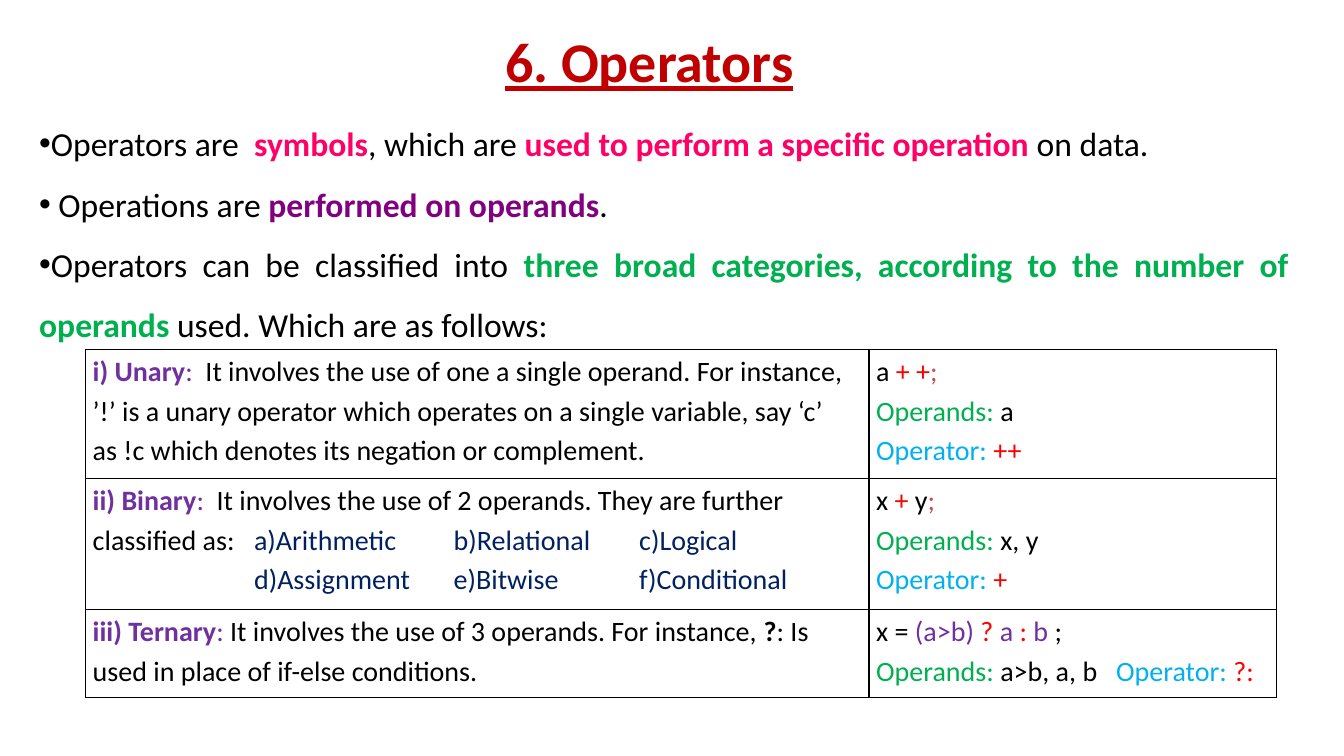
import pptx
import pptx.dml.color
import pptx.enum.text
import pptx.oxml
import pptx.oxml.ns
import pptx.util
from lxml import etree
from pptx.util import Inches

FONT = "Calibri"
BLACK, RED, CRIMSON, PINK = "000000", "FF0000", "C00000", "FF0066"
PURPLE, VIOLET, GREEN = "800080", "7030A0", "00B050"
SKY, NAVY, BRICK = "00B0F0", "002060", "C0504D"
ALIGN = pptx.enum.text.PP_ALIGN
ANCHOR = pptx.enum.text.MSO_ANCHOR

DEFINITIONS = [
    [("Operators are  ", BLACK), ("symbols", PINK, True), (", which are ", BLACK),
     ("used to perform a specific operation ", PINK, True), ("on data.", BLACK)],
    [(" Operations are ", BLACK), ("performed on operands", PURPLE, True), (".", BLACK)],
    [("Operators can be classified into ", BLACK),
     ("three broad categories, according to the number of operands ", GREEN, True),
     ("used. Which are as follows:", BLACK)],
]

UNARY = [[("i) Unary", VIOLET, True), (":", VIOLET),
          ("  It involves the use of one a single operand. For instance, ’!’ is a unary "
           "operator which operates on a single variable, say ‘c’ as !c which denotes its "
           "negation or complement.", BLACK)]]
BINARY = [
    [("ii) Binary", VIOLET, True), (":", VIOLET),
     ("  It involves the use of 2 operands. They are further classified as:", BLACK),
     ("\ta)Arithmetic\tb)Relational\tc)Logical", NAVY)],
    [("\td)Assignment\te)Bitwise\tf)Conditional", NAVY)],
]
TERNARY = [[("iii) Ternary", VIOLET, True), (":", VIOLET),
            (" It involves the use of 3 operands. For instance, ", BLACK),
            ("?", BLACK, True), (": Is used in place of if-else conditions.", BLACK)]]


def operands(names):
    """Return the runs that list the operands."""
    return [("Operands:", GREEN), (f" {names}", BLACK)]


def operator(symbol):
    """Return the runs that show the operator."""
    return [("Operator: ", SKY), (symbol, RED)]


CATEGORIES = [
    (UNARY, [[("a ", BLACK), ("+ +", RED), (";", BRICK)], operands("a"), operator("++")]),
    (BINARY, [[("x ", BLACK), ("+ ", RED), ("y", BLACK), (";", BRICK)],
              operands("x, y"), operator("+")]),
    (TERNARY, [[("x = ", BLACK), ("(a>b) ", VIOLET), ("? ", RED), ("a ", VIOLET),
                (": ", RED), ("b ", VIOLET), (";", BLACK)],
               operands("a>b, a, b") + [("\t", BLACK)] + operator("?:")]),
]
COLUMN_WIDTHS = [7.77, 4.04]
ROW_HEIGHTS = [1.28, 1.3, 0.87]
COLUMN_TABS = [(1.6, 3.58, 5.42), (2.38,)]


def color(value):
    """Turn a hex string into a colour."""
    return pptx.dml.color.RGBColor.from_string(value)


def add_child(parent, tag, **attributes):
    """Append a DrawingML element with attributes."""
    child = etree.SubElement(parent, pptx.oxml.ns.qn(tag))
    for key, value in attributes.items():
        child.set(key, str(value))
    return child


def write_paragraphs(frame, paragraphs, size, spacing=1.0, align=ALIGN.LEFT):
    """Fill a text frame with paragraphs of coloured runs."""
    frame.word_wrap = True
    for index, pieces in enumerate(paragraphs):
        paragraph = frame.add_paragraph() if index else frame.paragraphs[0]
        paragraph.alignment = align
        paragraph.line_spacing = spacing
        for text, hue, *bold in pieces:
            run = paragraph.add_run()
            run.text = text
            run.font.name = FONT
            run.font.size = pptx.util.Pt(size)
            run.font.bold = bool(bold)
            run.font.color.rgb = color(hue)


def add_title(slide):
    """Add the underlined heading."""
    frame = slide.shapes.add_textbox(Inches(0.44), Inches(0.2), Inches(12), Inches(0.8)).text_frame
    frame.vertical_anchor = ANCHOR.MIDDLE
    write_paragraphs(frame, [[("6. Operators", CRIMSON, True)]], 40, align=ALIGN.CENTER)
    frame.paragraphs[0].runs[0].font.underline = True


def add_definitions(slide):
    """Add the bulleted statements about operators."""
    frame = slide.shapes.add_textbox(Inches(0.29), Inches(0.88), Inches(12.59), Inches(3.13)).text_frame
    frame.vertical_anchor = ANCHOR.TOP
    frame.margin_top = Inches(0.14)
    write_paragraphs(frame, DEFINITIONS, 24, 1.5, ALIGN.JUSTIFY)
    for paragraph in frame.paragraphs:
        properties = paragraph._p.get_or_add_pPr()
        properties.set("marL", "0")
        properties.set("indent", str(Inches(-0.17)))
        add_child(add_child(properties, "a:buClr"), "a:srgbClr", val=BLACK)
        add_child(properties, "a:buFont", typeface="Arial")
        add_child(properties, "a:buChar", char="•")


def add_tab_stops(frame, stops):
    """Set left tab stops in every paragraph that uses them."""
    for paragraph in frame.paragraphs:
        if "\t" in paragraph.text:
            tabs = add_child(paragraph._p.get_or_add_pPr(), "a:tabLst")
            for stop in stops:
                add_child(tabs, "a:tab", pos=Inches(stop), algn="l")


def style_cell(cell):
    """Give a cell thin black borders, no fill and tight margins."""
    cell.margin_left = cell.margin_right = Inches(0.07)
    cell.margin_top = cell.margin_bottom = 0
    properties = cell._tc.get_or_add_tcPr()
    for side in ("a:lnL", "a:lnR", "a:lnT", "a:lnB"):
        border = add_child(properties, side, w=pptx.util.Pt(1))
        add_child(add_child(border, "a:solidFill"), "a:srgbClr", val=BLACK)
    cell.fill.background()


def add_categories(slide):
    """Add the table of operator categories with examples."""
    table = slide.shapes.add_table(
        len(ROW_HEIGHTS), len(COLUMN_WIDTHS), Inches(0.85), Inches(3.47),
        Inches(sum(COLUMN_WIDTHS)), Inches(sum(ROW_HEIGHTS))).table
    table.first_row = table.horz_banding = False
    for column, width in zip(table.columns, COLUMN_WIDTHS):
        column.width = Inches(width)
    for row, height, contents in zip(table.rows, ROW_HEIGHTS, CATEGORIES):
        row.height = Inches(height)
        for cell, paragraphs, stops in zip(row.cells, contents, COLUMN_TABS):
            style_cell(cell)
            write_paragraphs(cell.text_frame, paragraphs, 20, 1.15)
            add_tab_stops(cell.text_frame, stops)


def main():
    """Build the operators slide and save it."""
    deck = pptx.Presentation()
    deck.slide_width, deck.slide_height = Inches(13.33), Inches(7.5)
    slide = deck.slides.add_slide(deck.slide_layouts[6])
    add_definitions(slide)
    add_title(slide)
    add_categories(slide)
    deck.save("out.pptx")


if __name__ == "__main__":
    main()
